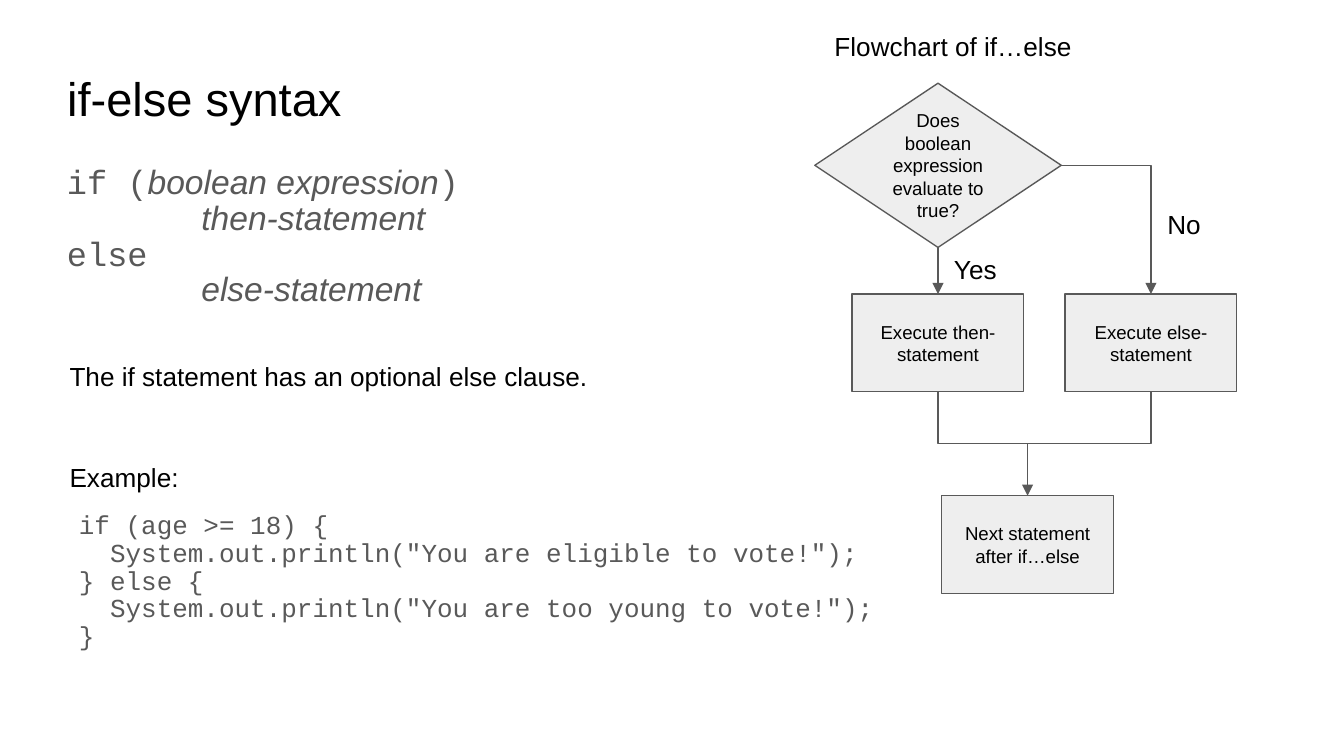
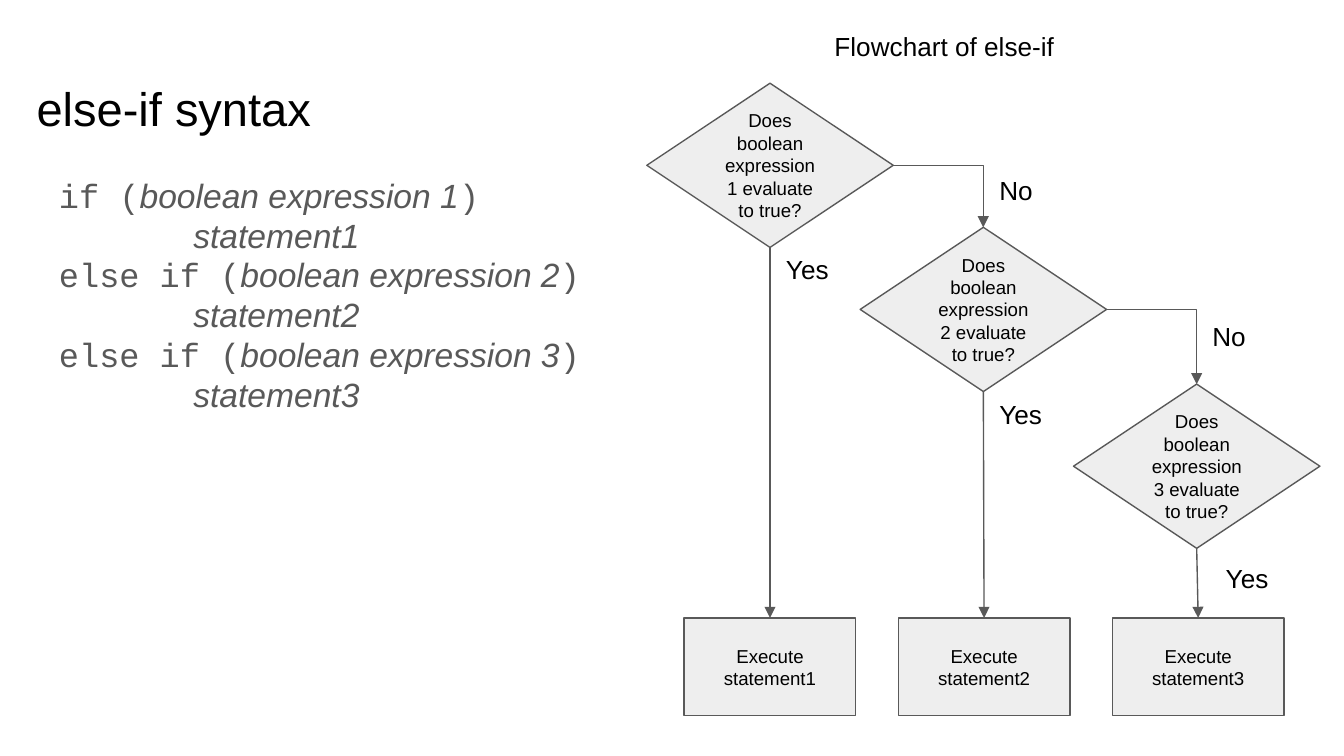
from pptx import Presentation
from pptx import util as u
from pptx.dml import color
from pptx.enum import shapes, text
from pptx.oxml import ns
from lxml import etree

BLACK, GREY, PALE = "000000", "595959", "EEEEEE"
SANS, MONO = "Arial", "Courier New"
DIAMOND, BOX, LABEL = (132, 88), (92, 52.3), (38.2, 31.7)
TOP, LEFT, BOTTOM, RIGHT = range(4)


def paint(value):
    return color.RGBColor.from_string(value)


def apply(target, formats):
    for name, value in formats.items():
        setattr(target, name, value)


class Lesson:
    def __init__(self):
        self.deck = Presentation()
        apply(self.deck, {"slide_width": u.Pt(720), "slide_height": u.Pt(405)})
        self.page = None

    def fill_text(self, frame, rows, size, ink=BLACK, layout=None, frame_format=None):
        inset = u.Pt(7.2)
        apply(frame, {"word_wrap": True, "auto_size": text.MSO_AUTO_SIZE.NONE,
                      "margin_left": inset, "margin_top": inset,
                      "margin_right": inset, "margin_bottom": inset,
                      "vertical_anchor": text.MSO_ANCHOR.TOP, **(frame_format or {})})
        for number, (indent, spans) in enumerate(rows):
            para = frame.add_paragraph() if number else frame.paragraphs[0]
            apply(para, {"alignment": text.PP_ALIGN.LEFT, **(layout or {})})
            if indent:
                para._p.get_or_add_pPr().set("marL", str(u.Pt(indent)))
            for words, face, slanted in spans:
                span = para.add_run()
                span.text = words
                apply(span.font, {"name": face, "size": u.Pt(size), "italic": slanted})
                span.font.color.rgb = paint(ink)

    def add_page(self, title, left, top, width):
        self.page = self.deck.slides.add_slide(self.deck.slide_layouts[5])
        heading = self.page.shapes.title
        apply(heading, {"left": u.Pt(left), "top": u.Pt(top),
                        "width": u.Pt(width), "height": u.Pt(45.4)})
        self.fill_text(heading.text_frame, [(0, [(title, SANS, False)])], 25.2,
                       frame_format={"vertical_anchor": text.MSO_ANCHOR.MIDDLE})

    def text_box(self, left, top, width, height):
        return self.page.shapes.add_textbox(*map(u.Pt, (left, top, width, height)))

    def note(self, words, left, top, width):
        box = self.text_box(left, top, width, LABEL[1])
        self.fill_text(box.text_frame, [(0, [(words, SANS, False)])], 14,
                       frame_format={"auto_size": text.MSO_AUTO_SIZE.SHAPE_TO_FIT_TEXT})

    def label(self, words, left, top):
        self.note(words, left, top, LABEL[0])

    def code(self, rows, place, size, spacing):
        box = self.text_box(*place)
        self.fill_text(box.text_frame, rows, size, GREY,
                       {"line_spacing": spacing, "space_before": u.Pt(4)})

    def node(self, kind, size, words, center_x, center_y):
        width, height = size
        place = (center_x - width / 2, center_y - height / 2, width, height)
        shape = self.page.shapes.add_shape(kind, *map(u.Pt, place))
        shape.shadow.inherit = False
        shape.fill.solid()
        shape.fill.fore_color.rgb = paint(PALE)
        shape.line.color.rgb = paint(GREY)
        shape.line.width = u.Pt(0.75)
        self.fill_text(shape.text_frame, [(0, [(words, SANS, False)])], 10,
                       layout={"alignment": text.PP_ALIGN.CENTER},
                       frame_format={"vertical_anchor": text.MSO_ANCHOR.MIDDLE})
        return shape

    def decision(self, words, center_x, center_y):
        return self.node(shapes.MSO_SHAPE.FLOWCHART_DECISION, DIAMOND, words, center_x, center_y)

    def step(self, words, center_x, center_y):
        return self.node(shapes.MSO_SHAPE.RECTANGLE, BOX, words, center_x, center_y)

    def link(self, kind, start, site, end, arrow=True):
        line = self.page.shapes.add_connector(kind, 0, 0, 0, 0)
        line.begin_connect(start, site)
        line.end_connect(end, TOP)
        line.line.color.rgb = paint(GREY)
        line.line.width = u.Pt(0.75)
        properties = line._element.spPr
        if arrow:
            outline = properties.find(ns.qn("a:ln"))
            etree.SubElement(outline, ns.qn("a:tailEnd"), type="triangle")
        etree.SubElement(properties, ns.qn("a:effectLst"))
        return line

    def arrow(self, start, end):
        self.link(shapes.MSO_CONNECTOR.STRAIGHT, start, BOTTOM, end)

    def corner(self, start, end):
        line = self.link(shapes.MSO_CONNECTOR.ELBOW, start, RIGHT, end)
        line._element.spPr.find(ns.qn("a:prstGeom")).set("prst", "bentConnector2")

    def merge(self, start, end, arrow):
        line = self.link(shapes.MSO_CONNECTOR.ELBOW, start, BOTTOM, end, arrow)
        rightward = line.begin_x < line.end_x
        width, height = line.width, line.height
        shift = (width - height) // 2
        apply(line, {"left": line.left + shift, "top": line.top - shift,
                     "width": height, "height": width})
        frame = line._element.spPr.find(ns.qn("a:xfrm"))
        frame.set("rot", str((270 if rightward else 90) * 60000))
        frame.set("flipH", "1" if rightward else "0")


def condition(opening, words):
    return (0, [(opening, MONO, False), (words, SANS, True), (")", MONO, False)])


def statement(words):
    return (72, [(words, SANS, True)])


def plain(words):
    return (0, [(words, MONO, False)])


lesson = Lesson()

lesson.add_page("if-else syntax", 28.8, 29.5, 270.7)
lesson.code([condition("if (", "boolean expression"), statement("then-statement"),
             plain("else"), statement("else-statement")], (28.8, 85, 276.5, 99.4), 18, 0.7)
lesson.note("The if statement has an optional else clause.", 30.2, 186, 319)
lesson.note("Example:", 30.2, 240, 319)
lesson.code([plain(words) for words in (
    "if (age >= 18) {",
    '  System.out.println("You are eligible to vote!");',
    "} else {",
    '  System.out.println("You are too young to vote!");',
    "}")], (35.2, 270.7, 455.8, 99.4), 13.9, 0.65)
lesson.note("Flowchart of if…else", 440, 8.9, 236)
question = lesson.decision("Does boolean expression evaluate to true?", 502.5, 88.6)
then_step = lesson.step("Execute then-statement", 502.5, 183.7)
else_step = lesson.step("Execute else-statement", 616.6, 183.7)
next_step = lesson.step("Next statement after if…else", 550.5, 291.7)
lesson.arrow(question, then_step)
lesson.corner(question, else_step)
lesson.merge(then_step, next_step, False)
lesson.merge(else_step, next_step, True)
lesson.label("Yes", 504, 128.5)
lesson.label("No", 618.3, 104.5)

lesson.add_page("else-if syntax", 12.4, 35, 671)
branches = []
for number in (1, 2, 3):
    branches += [condition("if (" if number == 1 else "else if (", f"boolean expression {number}"),
                 statement(f"statement{number}")]
lesson.code(branches, (24.5, 90.7, 350, 269.3), 18, 0.8)
lesson.note("Flowchart of else-if", 440, 8.9, 236)
previous = None
yes_places = [(414, 128.5), (528.3, 206.3), (649.6, 294)]
for index, center_y in enumerate((88.6, 165.8, 249.8)):
    number = index + 1
    question = lesson.decision(f"Does boolean expression {number} evaluate to true?",
                               412.5 + 114.3 * index, center_y)
    action = lesson.step(f"Execute statement{number}", 412.5 + 114.7 * index, 357.2)
    lesson.arrow(question, action)
    lesson.label("Yes", *yes_places[index])
    if previous:
        lesson.corner(previous, question)
    previous = question
for left, top in ((528.3, 86.2), (642.4, 164.3)):
    lesson.label("No", left, top)

lesson.deck.save("out.pptx")
